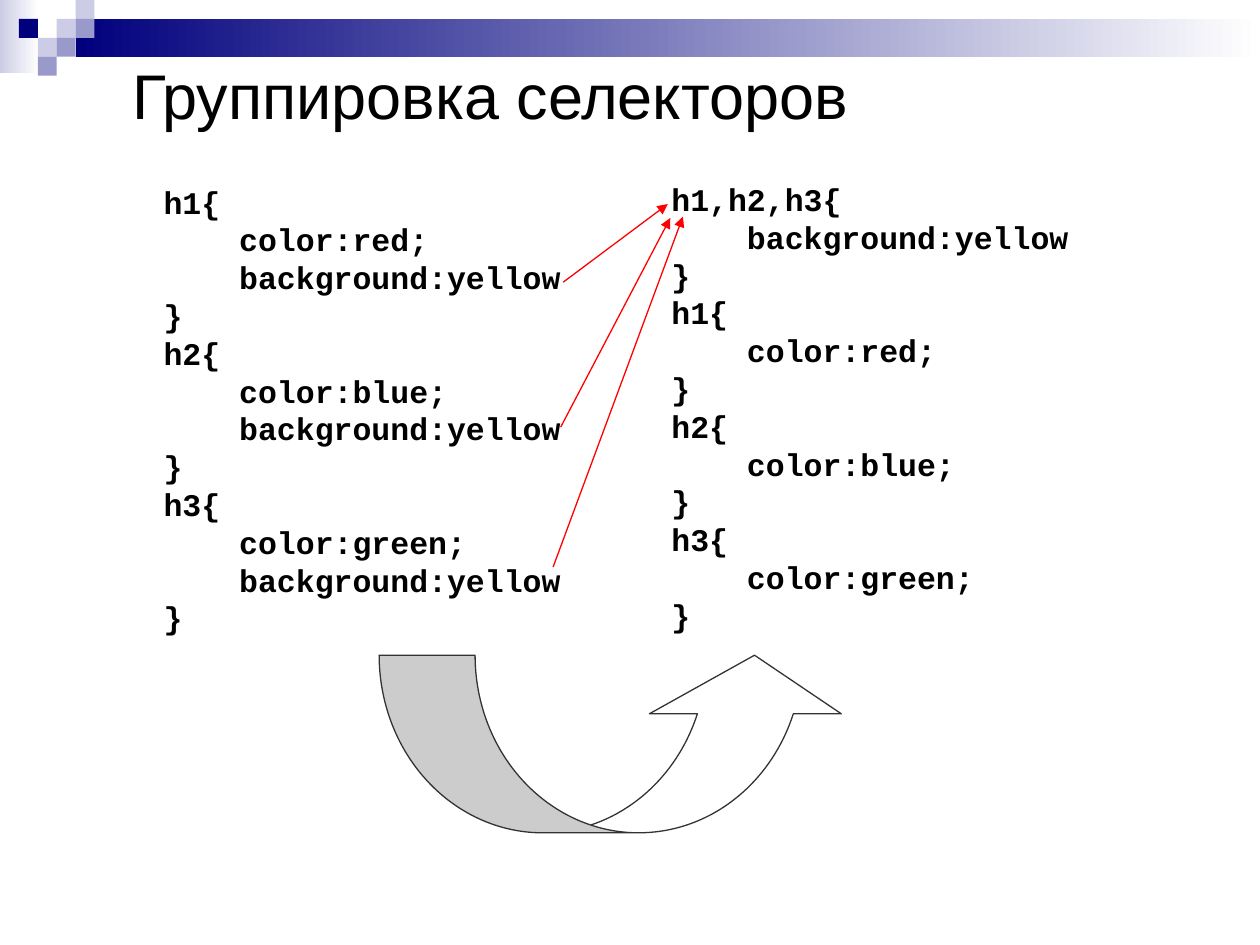
from lxml.etree import SubElement
from pptx import Presentation
from pptx.dml.color import RGBColor
from pptx.enum.shapes import MSO_CONNECTOR, MSO_SHAPE
from pptx.enum.text import MSO_ANCHOR
from pptx.oxml.ns import qn
from pptx.util import Inches, Pt

NAVY = RGBColor(0x00, 0x00, 0x7D)
LAVENDER = RGBColor(0xCC, 0xCC, 0xE6)
VIOLET = RGBColor(0x99, 0x99, 0xCC)
WHITE = RGBColor(0xFF, 0xFF, 0xFF)
BLACK = RGBColor(0x00, 0x00, 0x00)
DARK_GRAY = RGBColor(0x33, 0x33, 0x33)
RED = RGBColor(0xFF, 0x00, 0x00)

CELL = 0.15
CELLS = [
    (3, 1, LAVENDER), (4, 0, LAVENDER), (4, 1, VIOLET), (2, 2, LAVENDER),
    (1, 1, NAVY), (3, 2, VIOLET), (2, 3, VIOLET),
]

SEPARATE_RULES = """h1{
    color:red;
    background:yellow
}
h2{
    color:blue;
    background:yellow
}
h3{
    color:green;
    background:yellow
}"""

GROUPED_RULES = """h1,h2,h3{
    background:yellow
}
h1{
    color:red;
}
h2{
    color:blue;
}
h3{
    color:green;
}"""

GROUPING_ARROWS = [
    ((4.47, 2.24), (5.3, 1.62)),
    ((4.45, 3.39), (5.32, 1.73)),
    ((4.39, 4.5), (5.42, 1.72)),
]


def add_rectangle(slide, left, top, width, height):
    shape = slide.shapes.add_shape(
        MSO_SHAPE.RECTANGLE, Inches(left), Inches(top), Inches(width), Inches(height))
    shape.shadow.inherit = False
    shape.line.fill.background()
    return shape


def add_fading_bar(slide, left, top, width, height, color):
    shape = add_rectangle(slide, left, top, width, height)
    shape.fill.gradient()
    shape.fill.gradient_angle = 0
    for stop, stop_color in zip(shape.fill.gradient_stops, (color, WHITE)):
        stop.color.rgb = stop_color


def add_cell(slide, column, row, color):
    shape = add_rectangle(slide, column * CELL, row * CELL, CELL, CELL)
    shape.fill.solid()
    shape.fill.fore_color.rgb = color


def add_text(slide, left, top, width, height, text, font_name, size,
             bold=False, anchor=MSO_ANCHOR.TOP):
    box = slide.shapes.add_textbox(
        Inches(left), Inches(top), Inches(width), Inches(height))
    frame = box.text_frame
    frame.word_wrap = True
    frame.vertical_anchor = anchor
    for index, line in enumerate(text.split("\n")):
        paragraph = frame.add_paragraph() if index else frame.paragraphs[0]
        run = paragraph.add_run()
        run.text = line
        run.font.name = font_name
        run.font.size = Pt(size)
        run.font.bold = bold
        run.font.color.rgb = BLACK


def add_curved_arrow(slide, left, top, width, height, adjustments):
    shape = slide.shapes.add_shape(
        MSO_SHAPE.CURVED_UP_ARROW,
        Inches(left), Inches(top), Inches(width), Inches(height))
    shape.shadow.inherit = False
    shape.fill.solid()
    shape.fill.fore_color.rgb = WHITE
    shape.line.color.rgb = DARK_GRAY
    shape.line.width = Pt(0.75)
    for index, value in enumerate(adjustments):
        shape.adjustments[index] = value


def add_arrow(slide, start, end):
    connector = slide.shapes.add_connector(
        MSO_CONNECTOR.STRAIGHT, *map(Inches, start + end))
    connector.line.color.rgb = RED
    connector.line.width = Pt(0.75)
    properties = connector._element.spPr
    SubElement(properties.find(qn("a:ln")), qn("a:tailEnd"), type="triangle")
    SubElement(properties, qn("a:effectLst"))


def main():
    presentation = Presentation()
    presentation.slide_width = Inches(10)
    presentation.slide_height = Inches(7.5)
    slide = presentation.slides.add_slide(presentation.slide_layouts[6])

    add_fading_bar(slide, 0, 0, 0.31, 0.58, LAVENDER)
    add_fading_bar(slide, 0.6, 0.15, 9.4, 0.3, NAVY)
    for column, row, color in CELLS:
        add_cell(slide, column, row, color)

    add_text(slide, 0.95, 0.37, 8.08, 0.75, "Группировка селекторов",
             "Arial", 36, anchor=MSO_ANCHOR.MIDDLE)
    add_text(slide, 1.2, 1.4, 3.8, 3.7, SEPARATE_RULES, "Courier New", 18, bold=True)
    add_text(slide, 5.23, 1.38, 3.65, 3.7, GROUPED_RULES, "Courier New", 18, bold=True)

    add_curved_arrow(slide, 3.01, 5.2, 3.74, 1.41, (0.54, 1.08, 0.33))
    for start, end in GROUPING_ARROWS:
        add_arrow(slide, start, end)

    presentation.save("out.pptx")


if __name__ == "__main__":
    main()
